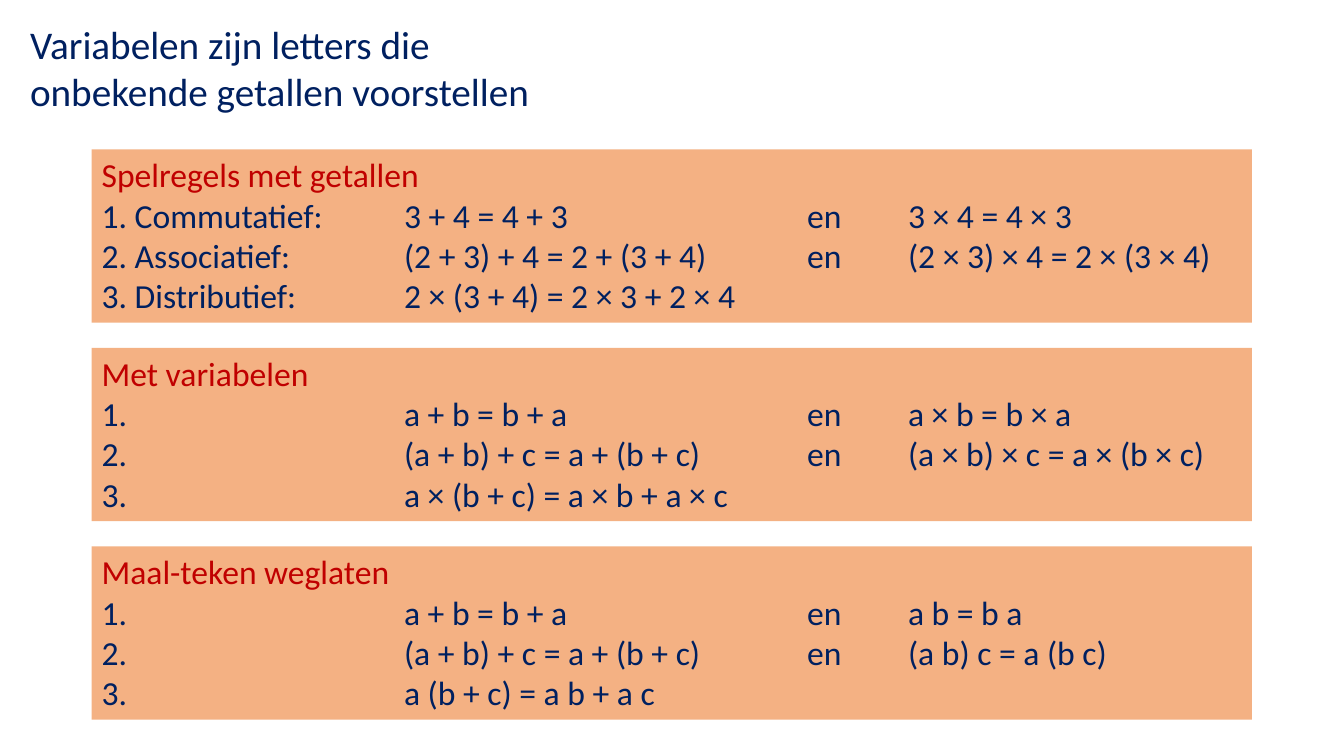
from lxml.etree import SubElement
from pptx import Presentation
from pptx.dml.color import RGBColor
from pptx.enum.shapes import MSO_SHAPE
from pptx.enum.text import MSO_ANCHOR, PP_ALIGN
from pptx.oxml.ns import qn
from pptx.util import Pt

TITLE = ["Variabelen zijn letters die", "onbekende getallen voorstellen"]
# Each panel: heading, then rows of (label, sum rule, joining word, product rule)
PANELS = [
    ("Spelregels met getallen", [
        ("1. Commutatief:", "3 + 4 = 4 + 3", "en", "3 × 4 = 4 × 3"),
        ("2. Associatief:", "(2 + 3) + 4 = 2 + (3 + 4)", "en", "(2 × 3) × 4 = 2 × (3 × 4)"),
        ("3. Distributief:", "2 × (3 + 4) = 2 × 3 + 2 × 4"),
    ]),
    ("Met variabelen", [
        ("1.", "a + b = b + a", "en", "a × b = b × a"),
        ("2.", "(a + b) + c = a + (b + c)", "en", "(a × b) × c = a × (b × c)"),
        ("3.", "a × (b + c) = a × b + a × c"),
    ]),
    ("Maal-teken weglaten", [
        ("1.", "a + b = b + a", "en", "a b = b a"),
        ("2.", "(a + b) + c = a + (b + c)", "en", "(a b) c = a (b c)"),
        ("3.", "a (b + c) = a b + a c"),
    ]),
]

FONT = "Calibri"
NAVY = RGBColor(0x00, 0x20, 0x60)
RED = RGBColor(0xC0, 0x00, 0x00)
ORANGE = RGBColor(0xF4, 0xB1, 0x83)

PANEL_LEFT, PANEL_TOP = 65.5, 106.6
PANEL_WIDTH, PANEL_HEIGHT = 828.7, 123.8
PANEL_PITCH = 141.8
COLUMN_STOPS = [216, 504, 576]


def write_lines(shape, lines, size, color, first_color=None, tab_stops=()):
    """Fill the shape with one left-aligned paragraph per line."""
    frame = shape.text_frame
    frame.word_wrap = True
    for index, line in enumerate(lines):
        paragraph = frame.paragraphs[0] if index == 0 else frame.add_paragraph()
        paragraph.alignment = PP_ALIGN.LEFT
        if tab_stops:
            set_tab_stops(paragraph, tab_stops)
        run = paragraph.add_run()
        run.text = line
        run.font.name = FONT
        run.font.size = Pt(size)
        run.font.color.rgb = first_color if first_color and index == 0 else color


def set_tab_stops(paragraph, stops):
    tab_list = SubElement(paragraph._p.get_or_add_pPr(), qn("a:tabLst"))
    for stop in stops:
        SubElement(tab_list, qn("a:tab"), pos=str(Pt(stop)), algn="l")


def add_panel(slide, top, heading, rows):
    panel = slide.shapes.add_shape(
        MSO_SHAPE.RECTANGLE, Pt(PANEL_LEFT), Pt(top), Pt(PANEL_WIDTH), Pt(PANEL_HEIGHT))
    panel.shadow.inherit = False
    panel.fill.solid()
    panel.fill.fore_color.rgb = ORANGE
    panel.line.fill.background()
    panel.text_frame.vertical_anchor = MSO_ANCHOR.TOP
    lines = [heading] + ["\t".join(row) for row in rows]
    write_lines(panel, lines, 24, NAVY, first_color=RED, tab_stops=COLUMN_STOPS)


def main():
    presentation = Presentation()
    presentation.slide_width, presentation.slide_height = Pt(960), Pt(540)
    slide = presentation.slides.add_slide(presentation.slide_layouts[6])

    title = slide.shapes.add_textbox(Pt(14.4), Pt(10.8), Pt(387.4), Pt(75))
    write_lines(title, TITLE, 28, NAVY)

    for index, (heading, rows) in enumerate(PANELS):
        add_panel(slide, PANEL_TOP + index * PANEL_PITCH, heading, rows)

    presentation.save("out.pptx")


if __name__ == "__main__":
    main()
